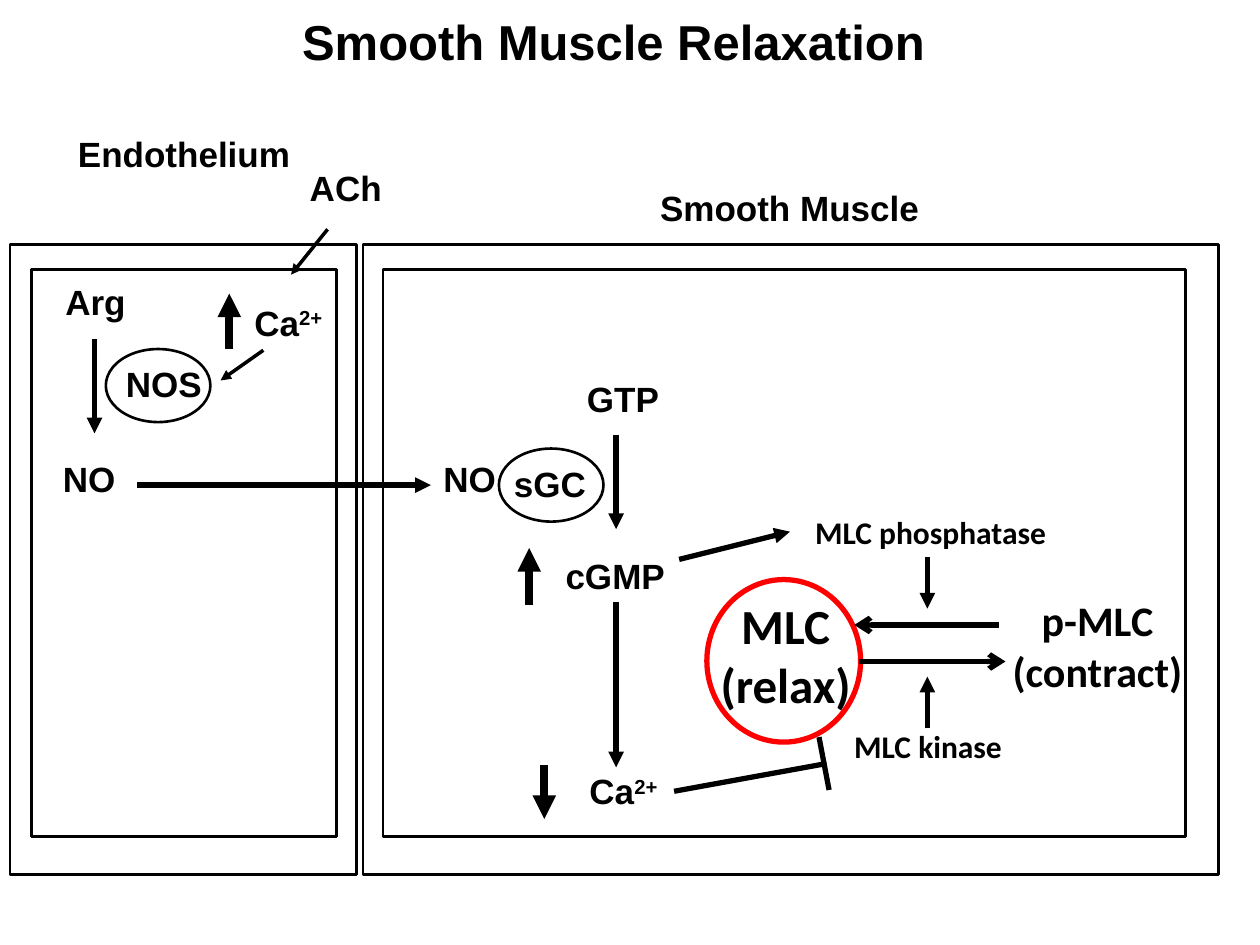
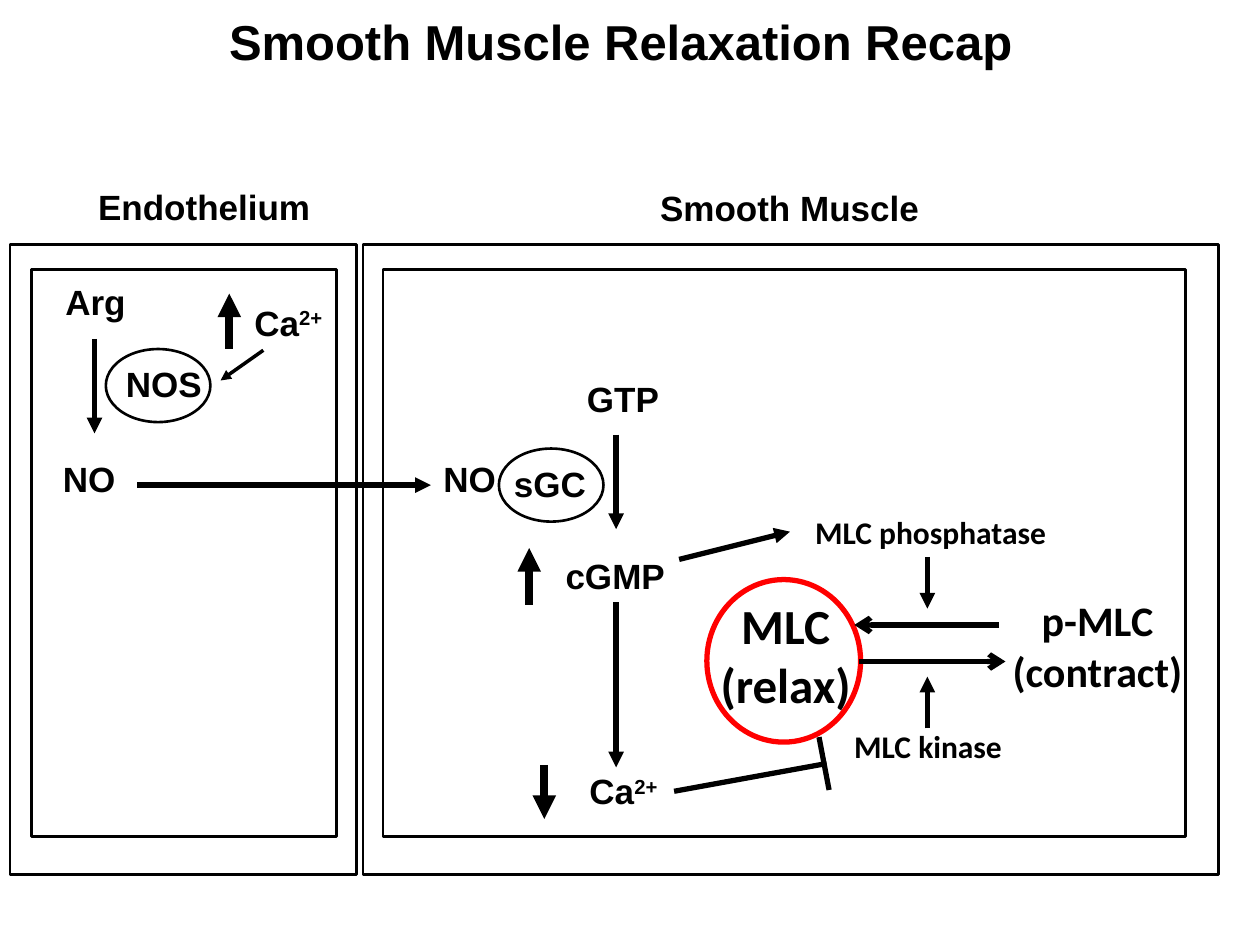
import pptx
import pptx.dml.color
import pptx.enum.shapes
import pptx.enum.text
import pptx.oxml.ns
import pptx.util
from lxml import etree
from pptx.util import Inches

COLORS = {"ink": "000000", "relaxed": "FF0000", "paper": "FFFFFF"}
SHAPES = pptx.enum.shapes.MSO_SHAPE
CENTER = pptx.enum.text.PP_ALIGN.CENTER
ENZYME_SIZE = (0.83, 0.58)
CELL_TOP, CELL_HEIGHT = 1.94, 5
INNER_TOP, INNER_HEIGHT = 2.14, 4.5


def rgb(name):
    return pptx.dml.color.RGBColor.from_string(COLORS[name])


def add_outline(slide, kind, left, top, width, height, color="ink", weight=1.5):
    outline = slide.shapes.add_shape(
        kind, Inches(left), Inches(top), Inches(width), Inches(height))
    outline.shadow.inherit = False
    outline.fill.background()
    outline.line.color.rgb = rgb(color)
    outline.line.width = pptx.util.Pt(weight)


def add_label(slide, text, left, top, width, height=0.43, size=20,
              font="Arial", align=None):
    """Add bold text; in each line, what follows ^ is superscript."""
    label = slide.shapes.add_textbox(
        Inches(left), Inches(top), Inches(width), Inches(height))
    frame = label.text_frame
    frame.word_wrap = False
    frame.auto_size = pptx.enum.text.MSO_AUTO_SIZE.SHAPE_TO_FIT_TEXT
    frame.text = text
    for paragraph in frame.paragraphs:
        base, _, superscript = paragraph.text.partition("^")
        paragraph.text = base
        paragraph.alignment = align
        if superscript:
            raised = paragraph.add_run()
            raised.text = superscript
            raised.font._element.set("baseline", "30000")
        for run in paragraph.runs:
            run.font.name = font
            run.font.size = pptx.util.Pt(size)
            run.font.bold = True
            run.font.color.rgb = rgb("ink")
    return label


def add_arrow(slide, start, end, weight=3, tip="triangle", source=None, side=2):
    """Draw a line with its tip at end; source joins the start to a label's side."""
    arrow = slide.shapes.add_connector(
        pptx.enum.shapes.MSO_CONNECTOR.STRAIGHT,
        *(Inches(value) for value in (*start, *end)))
    arrow.line.color.rgb = rgb("ink")
    arrow.line.width = pptx.util.Pt(weight)
    if tip:
        line = arrow.line._get_or_add_ln()
        etree.SubElement(line, pptx.oxml.ns.qn("a:tailEnd"), type=tip)
    properties = arrow._element.spPr
    etree.SubElement(properties, pptx.oxml.ns.qn("a:effectLst"))
    if source is not None:
        arrow.begin_connect(source, side)


def add_cell(slide, left, width, inner_left, inner_width):
    add_outline(slide, SHAPES.RECTANGLE, left, CELL_TOP, width, CELL_HEIGHT)
    add_outline(slide, SHAPES.RECTANGLE,
                inner_left, INNER_TOP, inner_width, INNER_HEIGHT)


def add_change(slide, x, start, end):
    """Draw the heavy arrow that marks a level going up or down."""
    add_arrow(slide, (x, start), (x, end), weight=4.5)


def add_endothelium(slide, heading_left, heading_top):
    add_cell(slide, 0.08, 2.75, 0.25, 2.42)
    add_label(slide, "Endothelium", heading_left, heading_top, 1.92)
    add_outline(slide, SHAPES.OVAL, 0.84, 2.77, *ENZYME_SIZE)
    add_label(slide, "NOS", 0.9, 2.83, 0.8)
    add_label(slide, "Arg", 0.42, 2.18, 0.68)
    add_label(slide, "NO", 0.4, 3.58, 0.62)
    add_label(slide, "Ca^2+", 1.92, 2.34, 0.77)
    add_change(slide, 1.82, 2.77, 2.33)
    add_arrow(slide, (0.75, 2.69), (0.75, 3.44))
    add_arrow(slide, (2.09, 2.78), (1.75, 3.02), weight=2)


def add_cgmp_pathway(slide):
    add_label(slide, "NO", 3.42, 3.58, 0.62)
    add_outline(slide, SHAPES.OVAL, 3.96, 3.56, *ENZYME_SIZE)
    add_label(slide, "sGC", 3.98, 3.62, 0.77)
    add_label(slide, "GTP", 4.56, 2.95, 0.77)
    cgmp = add_label(slide, "cGMP", 4.39, 4.35, 1)
    calcium = add_label(slide, "Ca^2+", 4.58, 6.06, 0.77, 0.44)
    add_change(slide, 4.2, 4.8, 4.35)
    add_change(slide, 4.32, 6.07, 6.5)
    add_arrow(slide, (1.09, 3.85), (3.42, 3.85))
    add_arrow(slide, (4.89, 3.45), (4.89, 4.2))
    add_arrow(slide, (4.89, 4.8), (4.89, 6.09), source=cgmp)
    add_arrow(slide, (5.39, 4.44), (6.27, 4.22))
    # Inhibition: a stem closed by a bar
    add_arrow(slide, (5.33, 6.28), (6.56, 6.06), tip=None, source=calcium, side=3)
    add_arrow(slide, (6.5, 5.85), (6.58, 6.27), tip=None)


def add_mlc_cycle(slide):
    for text, left, top, width, height, size, align in (
            ("MLC\n(relax)", 5.61, 4.68, 1.25, 1.04, 28, CENTER),
            ("p-MLC\n(contract)", 7.93, 4.67, 1.56, 0.91, 24, CENTER),
            ("MLC kinase", 6.68, 5.72, 1.39, 0.4, 18, None),
            ("MLC phosphatase", 6.37, 4.02, 2.05, 0.4, 18, None)):
        add_label(slide, text, left, top, width, height, size, "Calibri", align)
    add_outline(slide, SHAPES.OVAL, 5.61, 4.6, 1.22, 1.29, "relaxed", 3)
    add_arrow(slide, (6.82, 5.25), (7.98, 5.25), tip="arrow")
    add_arrow(slide, (7.93, 4.96), (6.78, 4.96), tip="arrow")
    add_arrow(slide, (7.36, 4.42), (7.36, 4.83))
    add_arrow(slide, (7.36, 5.78), (7.36, 5.37))


def add_relaxation_slide(deck, title, title_left, title_width, heading_at):
    slide = deck.slides.add_slide(deck.slide_layouts[6])
    slide.background.fill.solid()
    slide.background.fill.fore_color.rgb = rgb("paper")
    add_label(slide, title, title_left, 0.04, title_width, 0.57, size=28)
    add_endothelium(slide, *heading_at)
    add_cell(slide, 2.88, 6.79, 3.04, 6.37)
    add_label(slide, "Smooth Muscle", 5.14, 1.43, 2.3)
    add_cgmp_pathway(slide)
    add_mlc_cycle(slide)
    return slide


def add_acetylcholine(slide):
    add_label(slide, "ACh", 2.36, 1.27, 0.78)
    add_arrow(slide, (2.6, 1.82), (2.31, 2.18), weight=2)


def main():
    deck = pptx.Presentation()
    deck.slide_width, deck.slide_height = Inches(10), Inches(7.5)
    relaxation = add_relaxation_slide(
        deck, "Smooth Muscle Relaxation", 2.3, 5.16, (0.52, 1))
    add_acetylcholine(relaxation)
    add_relaxation_slide(
        deck, "Smooth Muscle Relaxation Recap", 1.72, 6.5, (0.68, 1.42))
    deck.save("out.pptx")


if __name__ == "__main__":
    main()
